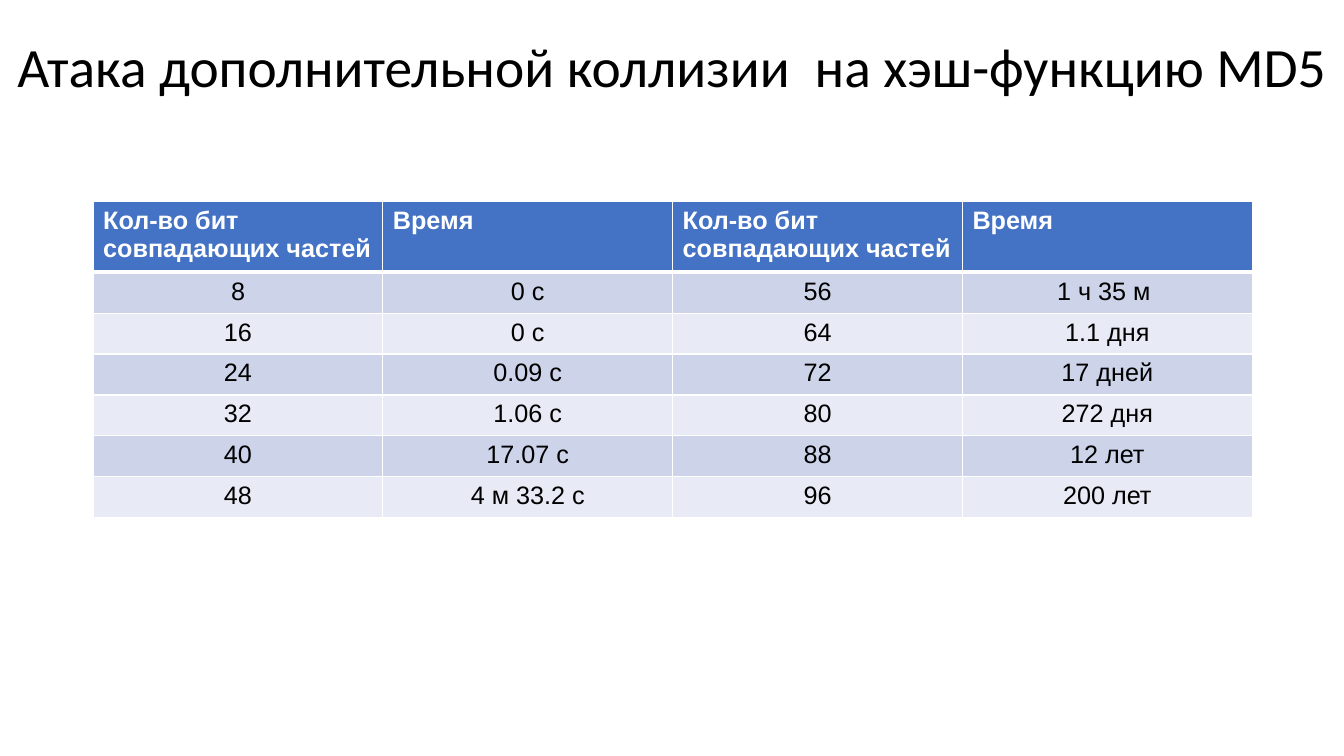
from dataclasses import dataclass

from lxml.etree import SubElement as Sub
from pptx import Presentation as Deck
from pptx.dml.color import RGBColor as Rgb
from pptx.enum.text import MSO_ANCHOR as Anchor, PP_ALIGN as Align
from pptx.oxml.ns import qn
from pptx.slide import Slide
from pptx.table import _Cell as Cell
from pptx.text.text import TextFrame as Frame
from pptx.util import Pt

WIDE, HIGH = 960, 540
LEFT, TOP = 66.5, 144
COL, HEAD, ROW = 207, 46.4, 29.25
WHITE, BLACK = "FFFFFF", "000000"
TITLE = "Атака дополнительной коллизии  на хэш-функцию MD5"
BITS, TIME = "Кол-во бит совпадающих частей", "Время"
ROWS = [
    (BITS, TIME, BITS, TIME),
    ("8", "0 c", "56", "1 ч 35 м "),
    ("16", "0 c", "64", "1.1 дня"),
    ("24", "0.09 c", "72", "17 дней"),
    ("32", "1.06 c", "80", "272 дня"),
    ("40", "17.07 c", "88", "12 лет"),
    ("48", "4 м 33.2 с", "96", "200 лет"),
]


@dataclass(frozen=True)
class Style:
    font: dict
    ink: str
    align: Align
    fill: str = WHITE
    top: float = 1
    base: float = 1


PLAIN = {"name": "Arial", "size": Pt(18), "bold": False}
NAME = Style({"name": "Calibri", "size": Pt(39.6)}, BLACK, Align.CENTER)
LABEL = Style(PLAIN | {"bold": True}, WHITE, Align.LEFT, "4472C4", base=3)
FIRST = Style(PLAIN, BLACK, Align.CENTER, "CDD4EA", top=3)
ODD = Style(PLAIN, BLACK, Align.CENTER, "CDD4EA")
EVEN = Style(PLAIN, BLACK, Align.CENTER, "E8EBF5")
STYLES = [LABEL, FIRST, EVEN, ODD, EVEN, ODD, EVEN]


def tint(code: str) -> Rgb:
    return Rgb.from_string(code)


def write(frame: Frame, text: str, style: Style) -> None:
    para = frame.paragraphs[0]
    para.alignment = style.align
    run = para.add_run()
    run.text = text
    for key, value in style.font.items():
        setattr(run.font, key, value)
    run.font.color.rgb = tint(style.ink)


def edge(cell: Cell, style: Style) -> None:
    props = cell._tc.get_or_add_tcPr()
    sides = {"lnL": 1, "lnR": 1, "lnT": style.top, "lnB": style.base}
    for spot, (side, width) in enumerate(sides.items()):
        line = Sub(props, qn(f"a:{side}"), w=str(Pt(width)))
        paint = Sub(line, qn("a:solidFill"))
        Sub(paint, qn("a:srgbClr"), val=WHITE)
        props.insert(spot, line)


def draw_title(slide: Slide) -> None:
    box = slide.shapes.add_textbox(Pt(0), Pt(18), Pt(WIDE), Pt(64))
    frame = box.text_frame
    frame.word_wrap = True
    frame.vertical_anchor = Anchor.MIDDLE
    write(frame, TITLE, NAME)
    frame.paragraphs[0].line_spacing = 0.9


def draw_table(slide: Slide) -> None:
    count, cols = len(ROWS), len(ROWS[0])
    high = HEAD + ROW * (count - 1)
    table = slide.shapes.add_table(
        count, cols, Pt(LEFT), Pt(TOP), Pt(COL * cols), Pt(high)
    ).table
    for col in table.columns:
        col.width = Pt(COL)
    for row, texts, style in zip(table.rows, ROWS, STYLES):
        row.height = Pt(HEAD if style is LABEL else ROW)
        for cell, text in zip(row.cells, texts):
            cell.fill.solid()
            cell.fill.fore_color.rgb = tint(style.fill)
            edge(cell, style)
            write(cell.text_frame, text, style)


def main() -> None:
    deck = Deck()
    deck.slide_width, deck.slide_height = Pt(WIDE), Pt(HIGH)
    slide = deck.slides.add_slide(deck.slide_layouts[6])
    draw_title(slide)
    draw_table(slide)
    deck.save("out.pptx")


if __name__ == "__main__":
    main()
